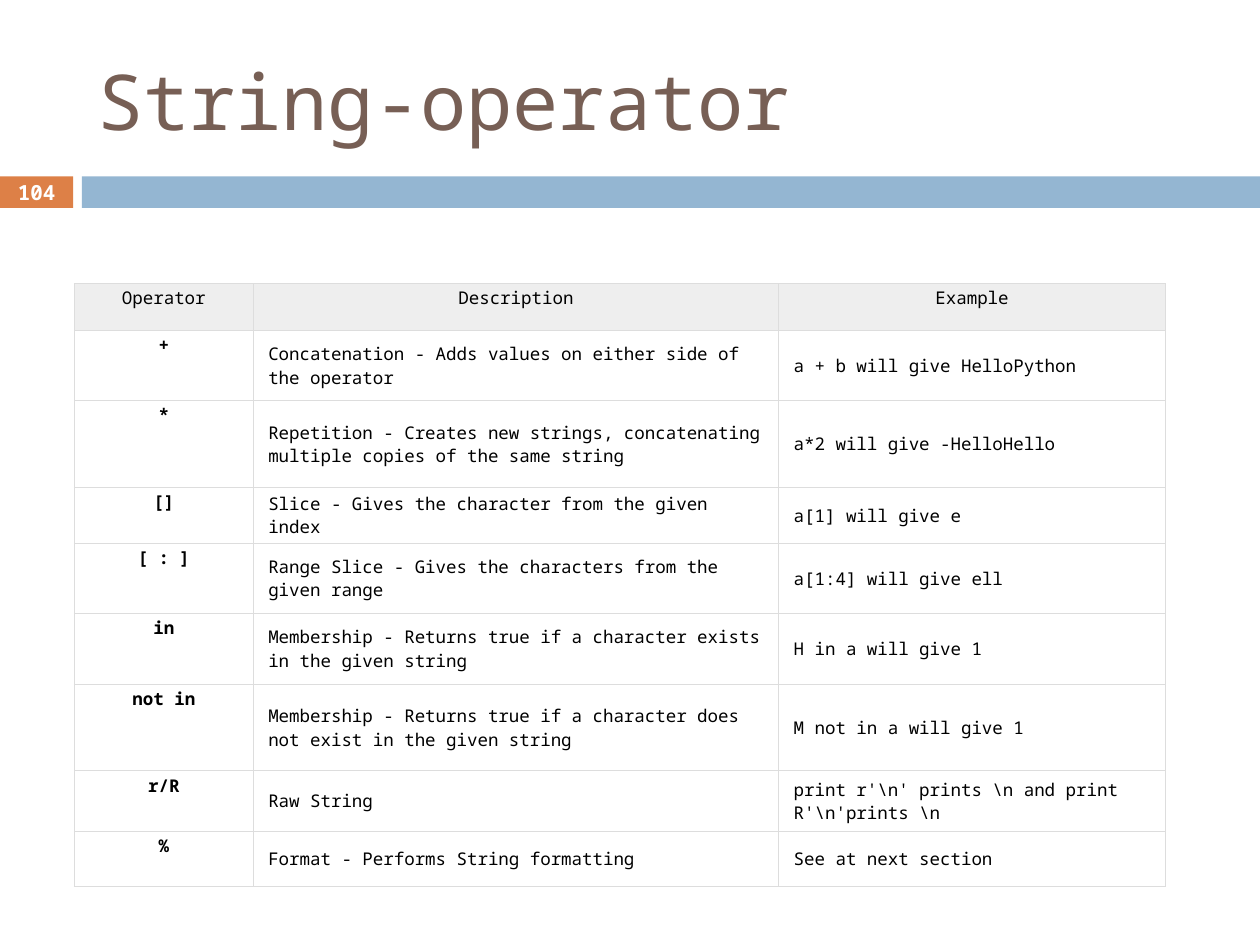
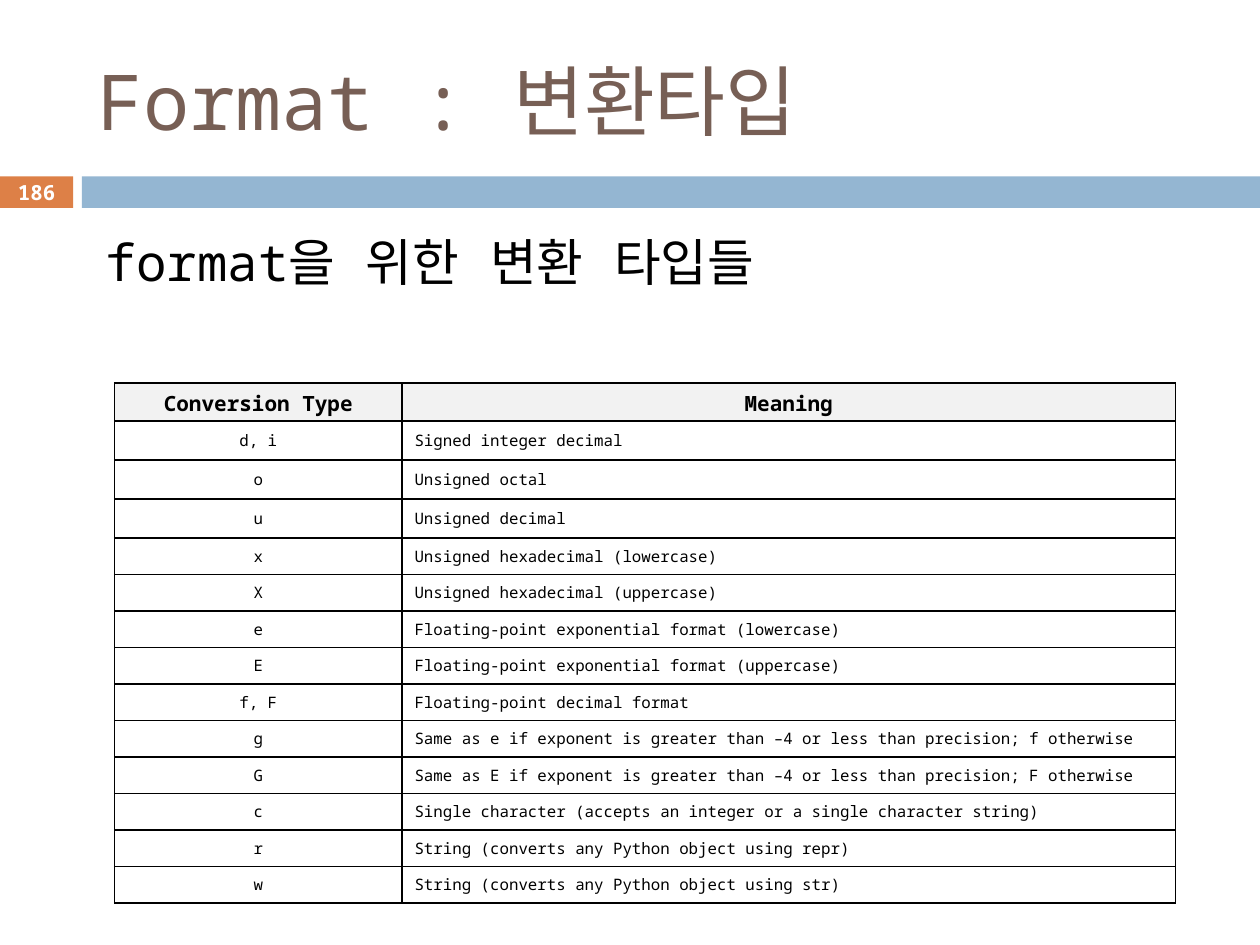
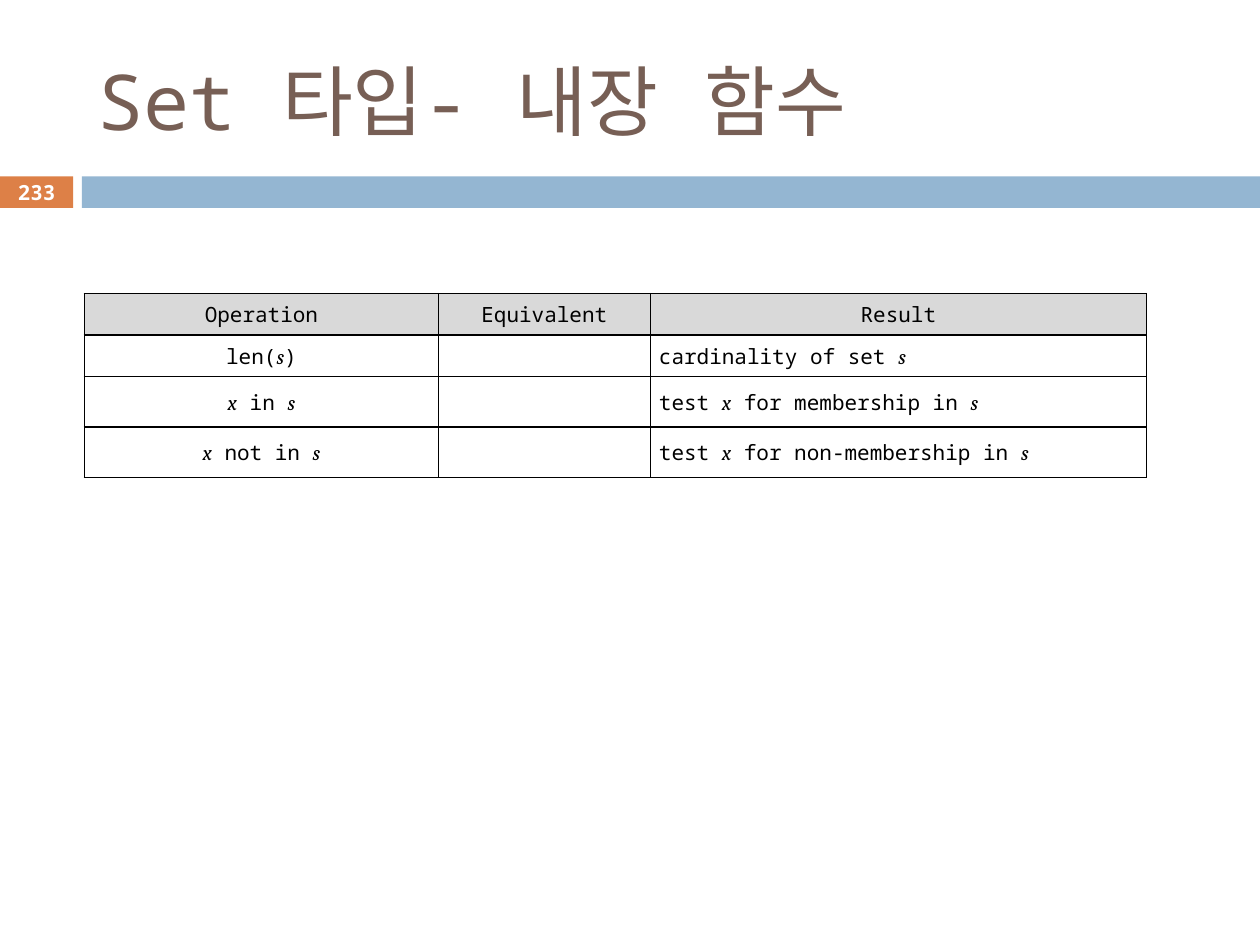
from lxml import etree
from pptx import Presentation
from pptx.dml.color import RGBColor
from pptx.enum.shapes import MSO_SHAPE
from pptx.enum.text import MSO_ANCHOR, PP_ALIGN
from pptx.oxml.ns import qn
from pptx.util import Inches, Pt

RECT = MSO_SHAPE.RECTANGLE
LEFT, CENTER = PP_ALIGN.LEFT, PP_ALIGN.CENTER
TOP, MIDDLE = MSO_ANCHOR.TOP, MSO_ANCHOR.MIDDLE

MONO, ITALIC_FONT = "Noto Sans Mono", "Cambria"
ORANGE, BLUE, BROWN = "DD8047", "94B6D2", "775F55"
BLACK, WHITE = "000000", "FFFFFF"
TITLE_ONLY = 5

OPERATORS = [
    ("Operator", "Description", "Example"),
    ("+", "Concatenation - Adds values on either side of the operator", "a + b will give HelloPython"),
    ("*", "Repetition - Creates new strings, concatenating multiple copies of the same string",
     "a*2 will give -HelloHello"),
    ("[]", "Slice - Gives the character from the given index", "a[1] will give e"),
    ("[ : ]", "Range Slice - Gives the characters from the given range", "a[1:4] will give ell"),
    ("in", "Membership - Returns true if a character exists in the given string", "H in a will give 1"),
    ("not in", "Membership - Returns true if a character does not exist in the given string",
     "M not in a will give 1"),
    ("r/R", "Raw String", r"print r'\n' prints \n and print R'\n'prints \n"),
    ("%", "Format - Performs String formatting", "See at next section"),
]
CONVERSIONS = [
    ("Conversion Type", "Meaning"),
    ("d, i", "Signed integer decimal"),
    ("o", "Unsigned octal"),
    ("u", "Unsigned decimal"),
    ("x", "Unsigned hexadecimal (lowercase)"),
    ("X", "Unsigned hexadecimal (uppercase)"),
    ("e", "Floating-point exponential format (lowercase)"),
    ("E", "Floating-point exponential format (uppercase)"),
    ("f, F", "Floating-point decimal format"),
    ("g", "Same as e if exponent is greater than –4 or less than precision; f otherwise"),
    ("G", "Same as E if exponent is greater than –4 or less than precision; F otherwise"),
    ("c", "Single character (accepts an integer or a single character string)"),
    ("r", "String (converts any Python object using repr)"),
    ("w", "String (converts any Python object using str)"),
]
SET_FUNCTIONS = [
    ("Operation", "Equivalent", "Result"),
    ("len(_s_)", "", "cardinality of set _s_"),
    ("_x_ in _s_", "", "test _x_ for membership in _s_"),
    ("_x_ not in _s_", "", "test _x_ for non-membership in _s_"),
]


def rgb(color):
    return RGBColor.from_string(color)


def add_run(p, text, size, color=BLACK, bold=False, italic=False):
    r = p.add_run()
    r.text = text
    font = r.font
    font.name = ITALIC_FONT if italic else MONO
    font.size, font.bold, font.italic = Pt(size), bold, italic
    font.color.rgb = rgb(color)
    etree.SubElement(r._r.get_or_add_rPr(), qn("a:ea"), typeface=font.name)


def add_band(s, left, width, color):
    sp = s.shapes.add_shape(RECT, Inches(left), Inches(1.4), Inches(width), Inches(0.25))
    sp.shadow.inherit = False
    sp.fill.solid()
    sp.fill.fore_color.rgb = rgb(color)
    sp.line.fill.background()


def add_text(s, box, text, size, color, bold=False, align=LEFT, anchor=TOP, margin=0.1):
    tf = s.shapes.add_textbox(*map(Inches, box)).text_frame
    tf.word_wrap = True
    tf.vertical_anchor = anchor
    tf.margin_left = Inches(margin)
    p = tf.paragraphs[0]
    p.alignment = align
    add_run(p, text, size, color, bold)


def add_titled_slide(prs, title, number):
    s = prs.slides.add_slide(prs.slide_layouts[TITLE_ONLY])
    add_band(s, 0, 0.58, ORANGE)
    add_band(s, 0.65, 9.35, BLUE)
    sp = s.shapes.title
    sp.left, sp.top, sp.width, sp.height = map(Inches, (0.67, 0.25, 8.92, 1.08))
    tf = sp.text_frame
    tf.word_wrap = True
    tf.vertical_anchor = MIDDLE
    p = tf.paragraphs[0]
    p.alignment = LEFT
    add_run(p, title, 44, BROWN)
    add_text(s, (0, 1.39, 0.58, 0.27), number, 11.9, WHITE, True, CENTER, MIDDLE)
    return s


def set_borders(cell, color, widths):
    tcPr = cell._tc.get_or_add_tcPr()
    for i, (side, width) in enumerate(zip("LRTB", widths)):
        ln = etree.Element(qn(f"a:ln{side}"), w=str(Pt(width)))
        fill = etree.SubElement(ln, qn("a:solidFill"))
        etree.SubElement(fill, qn("a:srgbClr"), val=color)
        tcPr.insert(i, ln)


def fill_cell(cell, text, size, bold, align, anchor, insets, fill):
    cell.margin_left = cell.margin_right = Inches(insets[0])
    cell.margin_top = cell.margin_bottom = Inches(insets[1])
    cell.vertical_anchor = anchor
    if fill:
        cell.fill.solid()
        cell.fill.fore_color.rgb = rgb(fill)
    else:
        cell.fill.background()
    p = cell.text_frame.paragraphs[0]
    p.alignment = align
    for i, part in enumerate(text.split("_")):
        if part:
            add_run(p, part, size, bold=bold, italic=i % 2 == 1)
    if not text:
        etree.SubElement(p._p, qn("a:endParaRPr"), sz=str(size * 100))


def add_grid(s, left, top, col_widths, row_heights, rows, header, columns,
             body_fill=None, line=BLACK, outer=1, inner=1):
    box = map(Inches, (left, top, sum(col_widths), sum(row_heights)))
    table = s.shapes.add_table(len(rows), len(col_widths), *box).table
    table.first_row = table.horz_banding = False
    for col, width in zip(table.columns, col_widths):
        col.width = Inches(width)
    for row, height in zip(table.rows, row_heights):
        row.height = Inches(height)
    last = len(col_widths) - 1
    for i, texts in enumerate(rows):
        for j, text in enumerate(texts):
            cell = table.cell(i, j)
            style = columns[j] if i else header
            fill_cell(cell, text, *style, body_fill if i else header_fill(line, body_fill))
            set_borders(cell, line, (inner if j else outer, inner if j < last else outer, outer, outer))


def header_fill(line, body_fill):
    if line != BLACK:
        return "EEEEEE"
    return "D9D9D9" if body_fill else "F2F2F2"


def string_operators(prs):
    s = add_titled_slide(prs, "String-operator", "104")
    tight = (0.02, 0.02)
    prose = (10, False, LEFT, MIDDLE, (0.12, 0.02))
    add_grid(s, 0.59, 2.25, (1.42, 4.17, 3.07),
             (0.37, 0.56, 0.69, 0.44, 0.56, 0.56, 0.69, 0.48, 0.44), OPERATORS,
             (10, False, CENTER, TOP, tight), ((10, True, CENTER, TOP, tight), prose, prose),
             line="DDDDDD", outer=0.6, inner=0.6)


def format_conversions(prs):
    s = add_titled_slide(prs, "Format : 변환타입", "186")
    add_text(s, (0.5, 1.78, 9, 1.18), "format을 위한 변환 타입들", 29, BLACK, margin=0.34)
    insets = (0.1, 0.05)
    add_grid(s, 0.91, 3.04, (2.28, 6.14), [0.29] + [0.31] * 3 + [0.29] * 10, CONVERSIONS,
             (12, True, CENTER, MIDDLE, insets),
             [(9, False, align, MIDDLE, insets) for align in (CENTER, LEFT)])


def set_functions(prs):
    s = add_titled_slide(prs, "Set 타입- 내장 함수", "233")
    insets = (0.07, 0.03)
    header, *columns = [(12, False, align, MIDDLE, insets) for align in (CENTER, CENTER, CENTER, LEFT)]
    add_grid(s, 0.67, 2.33, (2.81, 1.68, 3.94), (0.33, 0.33, 0.4, 0.4), SET_FUNCTIONS,
             header, columns, body_fill=WHITE, inner=0.6)


def main():
    prs = Presentation()
    prs.slide_width, prs.slide_height = Inches(10), Inches(7.5)
    string_operators(prs)
    format_conversions(prs)
    set_functions(prs)
    prs.save("out.pptx")


if __name__ == "__main__":
    main()
